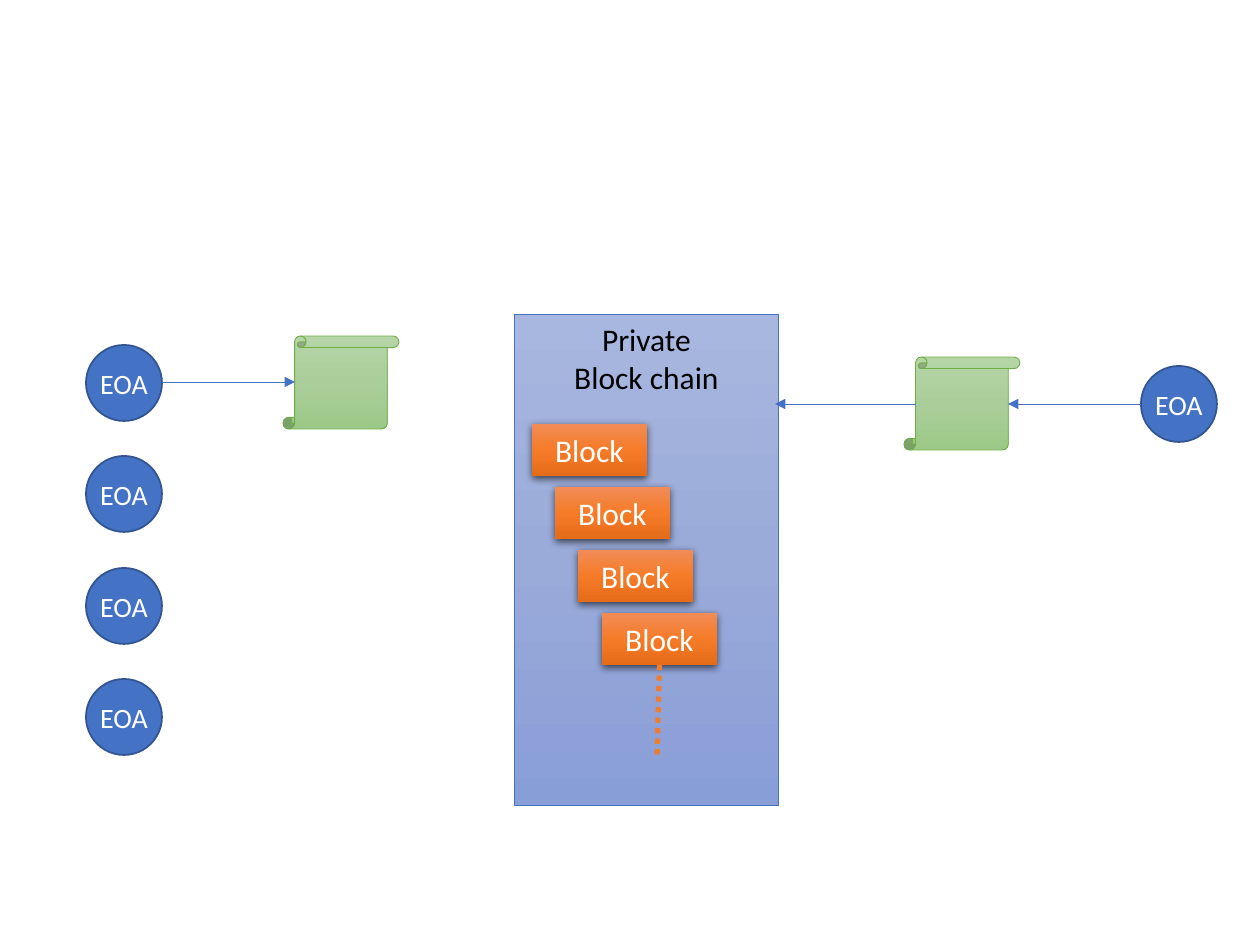
from copy import deepcopy
from dataclasses import dataclass

from lxml import etree
from pptx import Presentation
from pptx.dml.color import RGBColor
from pptx.enum.dml import MSO_LINE
from pptx.enum.shapes import MSO_CONNECTOR, MSO_SHAPE
from pptx.enum.text import MSO_ANCHOR, PP_ALIGN
from pptx.oxml.ns import qn
from pptx.util import Emu, Pt

RECTANGLE = MSO_SHAPE.RECTANGLE
OVAL = MSO_SHAPE.OVAL
SCROLL = MSO_SHAPE.VERTICAL_SCROLL
STRAIGHT = MSO_CONNECTOR.STRAIGHT
DOTTED = MSO_LINE.ROUND_DOT
TOP, MIDDLE = MSO_ANCHOR.TOP, MSO_ANCHOR.MIDDLE
CENTER = PP_ALIGN.CENTER

PX_PER_INCH = 126
BOTTOM = 2


@dataclass(frozen=True)
class Theme:
    font: str = "Calibri"
    heading_size: int = 18
    account_size: int = 16
    black: str = "000000"
    white: str = "FFFFFF"
    blue: str = "4472C4"
    dark_blue: str = "325491"
    orange: str = "ED7D31"
    green: str = "70AD47"
    panel_gradient: tuple = ("A8B7DF", "9AABD9", "889ED7")
    block_gradient: tuple = ("F18C57", "F67B28", "E56C19")
    contract_gradient: tuple = ("B5D5A7", "AACE9A", "9CC987")


THEME = Theme()


def px(value):
    return Emu(round(value * 914400 / PX_PER_INCH))


def rgb(value):
    return RGBColor.from_string(value)


def add_shape(slide, kind, left, top, width, height):
    shape = slide.shapes.add_shape(kind, px(left), px(top), px(width), px(height))
    shape.shadow.inherit = False
    return shape


def set_gradient(shape, colors):
    shape.fill.gradient()
    shape.fill.gradient_angle = 270
    first_stop = shape._element.spPr.find(".//" + qn("a:gs"))
    first_stop.addnext(deepcopy(first_stop))
    for index, (stop, color) in enumerate(zip(shape.fill.gradient_stops, colors)):
        stop.position = index / (len(colors) - 1)
        stop.color.rgb = rgb(color)


def set_line(shape, color, width):
    shape.line.color.rgb = rgb(color)
    shape.line.width = Pt(width)


def set_text(shape, text, size, color, anchor=MIDDLE):
    text_frame = shape.text_frame
    text_frame.text = text
    text_frame.word_wrap = True
    text_frame.vertical_anchor = anchor
    for paragraph in text_frame.paragraphs:
        paragraph.alignment = CENTER
        for run in paragraph.runs:
            run.font.name = THEME.font
            run.font.size = Pt(size)
            run.font.color.rgb = rgb(color)


def add_drop_shadow(shape):
    effects = shape._element.spPr.find(qn("a:effectLst"))
    shadow = etree.SubElement(
        effects, qn("a:outerShdw"), blurRad=str(Pt(4.5)), dist=str(Pt(1.5)),
        dir="5400000", algn="ctr", rotWithShape="0",
    )
    color = etree.SubElement(shadow, qn("a:srgbClr"), val=THEME.black)
    etree.SubElement(color, qn("a:alpha"), val="63000")


def add_panel(slide, left, top, width, height, text):
    panel = add_shape(slide, RECTANGLE, left, top, width, height)
    set_gradient(panel, THEME.panel_gradient)
    set_line(panel, THEME.blue, 0.5)
    set_text(panel, text, THEME.heading_size, THEME.black, TOP)


def add_block(slide, left, top):
    block = add_shape(slide, RECTANGLE, left, top, 115, 52)
    set_gradient(block, THEME.block_gradient)
    block.line.fill.background()
    add_drop_shadow(block)
    set_text(block, "Block", THEME.heading_size, THEME.white)
    return block


def add_account(slide, left, top):
    account = add_shape(slide, OVAL, left, top, 76, 76)
    account.fill.solid()
    account.fill.fore_color.rgb = rgb(THEME.blue)
    set_line(account, THEME.dark_blue, 1)
    set_text(account, "EOA", THEME.account_size, THEME.white)
    account.text_frame.margin_left = account.text_frame.margin_right = 0


def add_contract(slide, left, top):
    contract = add_shape(slide, SCROLL, left, top, 116, 93)
    set_gradient(contract, THEME.contract_gradient)
    set_line(contract, THEME.green, 0.5)


def add_line(slide, start, end, color, width):
    line = slide.shapes.add_connector(STRAIGHT, *map(px, start + end))
    set_line(line, color, width)
    etree.SubElement(line._element.spPr, qn("a:effectLst"))
    return line


def add_arrow(slide, start_x, end_x, y):
    arrow = add_line(slide, (start_x, y), (end_x, y), THEME.blue, 0.5)
    etree.SubElement(arrow.line._get_or_add_ln(), qn("a:tailEnd"), type="triangle")


def add_chain(slide):
    add_panel(slide, 514, 314, 265, 492, "Private\nBlock chain")
    for index in range(4):
        block = add_block(slide, 532 + 70 * index // 3, 424 + 63 * index)
    continuation = add_line(slide, (659, 665), (657, 757), THEME.orange, 3)
    continuation.line.dash_style = DOTTED
    continuation.begin_connect(block, BOTTOM)


def main():
    presentation = Presentation()
    presentation.slide_width, presentation.slide_height = px(1260), px(945)
    slide = presentation.slides.add_slide(presentation.slide_layouts[6])

    add_chain(slide)

    add_account(slide, 1141, 366)
    add_contract(slide, 904, 357)
    add_arrow(slide, 916, 775, 404)
    add_arrow(slide, 1141, 1008, 404)

    for index in range(4):
        add_account(slide, 86, 345 + 223 * index // 2)
    add_contract(slide, 283, 336)
    add_arrow(slide, 162, 295, 382)

    presentation.save("out.pptx")


if __name__ == "__main__":
    main()
